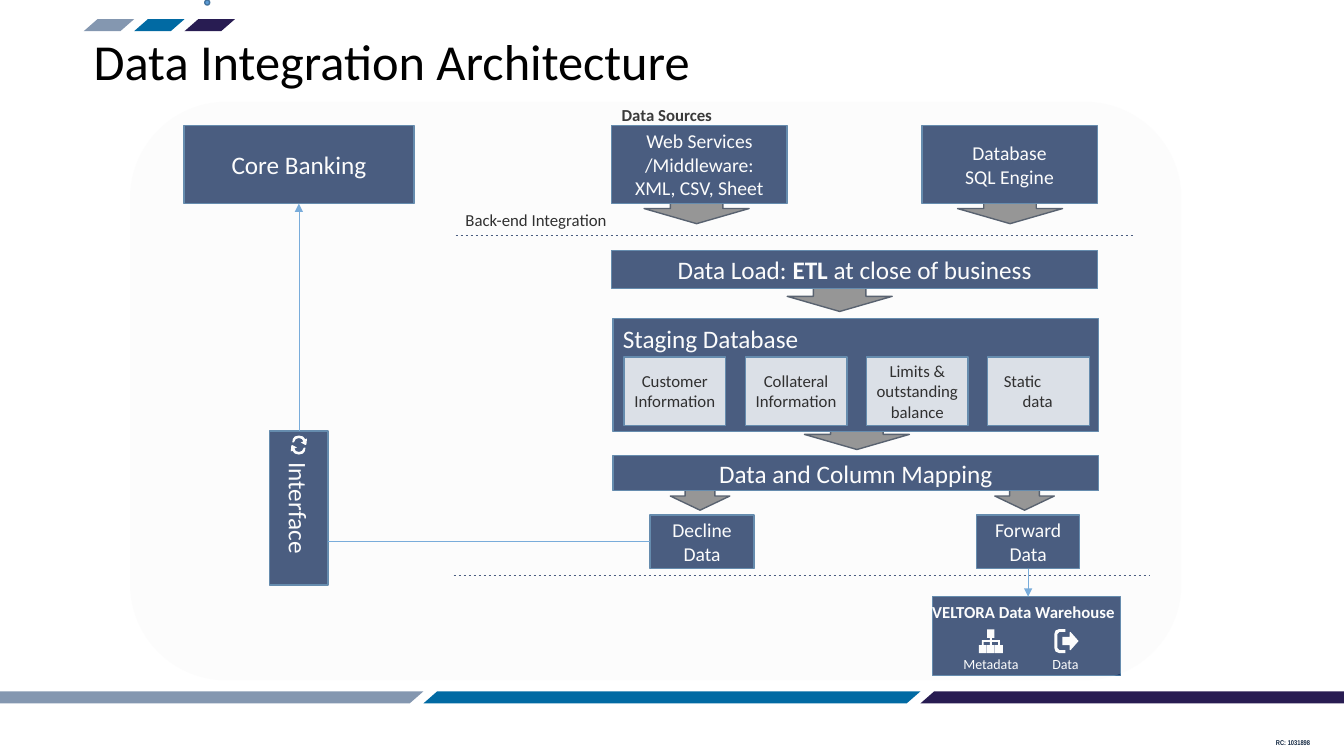
import pptx
import pptx.dml.color
import pptx.enum.dml
import pptx.enum.shapes
import pptx.enum.text
import pptx.oxml.ns
import pptx.util
from lxml import etree

Pt = pptx.util.Pt
RGBColor = pptx.dml.color.RGBColor
SHAPE = pptx.enum.shapes.MSO_SHAPE
ALIGN = pptx.enum.text.PP_ALIGN
ANCHOR = pptx.enum.text.MSO_ANCHOR
qn = pptx.oxml.ns.qn

WHITE = RGBColor(0xFF, 0xFF, 0xFF)
BLACK = RGBColor(0, 0, 0)
HEADING = RGBColor(0x0D, 0x0D, 0x0D)
FOOTER = RGBColor(0x0F, 0x24, 0x3E)
NAVY = RGBColor(0x20, 0x38, 0x64)
OUTLINE = RGBColor(0x43, 0x73, 0x9E)
SKY = RGBColor(0x5B, 0x9B, 0xD5)
PALE = RGBColor(0xD6, 0xDC, 0xE5)
GREY = RGBColor(0x80, 0x80, 0x80)
SLATE = RGBColor(0x33, 0x3F, 0x50)
PANEL = RGBColor(0xF2, 0xF2, 0xF2)
BAND_COLOURS = (RGBColor(0x84, 0x97, 0xB0), RGBColor(0x01, 0x6A, 0xA3),
                RGBColor(0x28, 0x1C, 0x52))

REFRESH_ARROW = [(58, -47), (54, -4), (47, 0), (14, -18), (32, -25), (22, -43), (0, -50),
                 (-22, -43), (-36, -18), (-47, -18), (-43, -43), (-29, -61), (0, -68),
                 (29, -61), (47, -40)]
EXIT_FRAME = [(-7, -86), (-52, -86), (-78, -75), (-86, -52), (-86, 52), (-78, 75), (-52, 86),
              (-7, 86), (-7, 65), (-50, 65), (-65, 50), (-65, -50), (-50, -65), (-7, -65)]
EXIT_ARROW = [(86, 0), (29, 65), (22, 62), (22, 29), (-29, 29), (-29, -29), (22, -29),
              (22, -62), (29, -65)]


def write_text(shape, text, size=12, colour=WHITE, bold=False, font="Calibri",
               align=ALIGN.LEFT, anchor=ANCHOR.TOP, spacing=None):
    frame = shape.text_frame
    frame.word_wrap = True
    frame.vertical_anchor = anchor
    for index, line in enumerate(text.split("\n")):
        paragraph = frame.paragraphs[0] if index == 0 else frame.add_paragraph()
        paragraph.alignment = align
        if spacing:
            paragraph.line_spacing = spacing
        for part, words in enumerate(line.split("**")):
            run = paragraph.add_run()
            run.text = words
            run.font.size = Pt(size)
            run.font.name = font
            run.font.bold = bold or part % 2 == 1
            run.font.color.rgb = colour


def add_label(slide, left, top, width, height, text, **style):
    label = slide.shapes.add_textbox(Pt(left), Pt(top), Pt(width), Pt(height))
    write_text(label, text, **style)


def paint(shape, fill, line=None):
    shape.shadow.inherit = False
    shape.fill.solid()
    shape.fill.fore_color.rgb = fill
    if line is None:
        shape.line.fill.background()
    else:
        shape.line.color.rgb = line
        shape.line.width = Pt(1)


def add_figure(slide, kind, left, top, width, height, fill, line=None):
    figure = slide.shapes.add_shape(kind, Pt(left), Pt(top), Pt(width), Pt(height))
    paint(figure, fill, line)
    return figure


def add_box(slide, left, top, width, height, text="", fill=NAVY, **style):
    box = add_figure(slide, SHAPE.RECTANGLE, left, top, width, height, fill, OUTLINE)
    if text:
        write_text(box, text, align=ALIGN.CENTER, anchor=ANCHOR.MIDDLE, **style)
    return box


def add_bands(slide, left, top, step):
    for index, colour in enumerate(BAND_COLOURS):
        band = add_figure(slide, SHAPE.PARALLELOGRAM, left + index * step, top, step, 8.6, colour)
        band.adjustments[0] = 1.144


def add_line(slide, start, end, colour, source=None, target=None, dashed=False, arrow=False):
    ends = [Pt(value) for value in start + end]
    line = slide.shapes.add_connector(pptx.enum.shapes.MSO_CONNECTOR.STRAIGHT, *ends)
    if source:
        line.begin_connect(*source)
    if target:
        line.end_connect(*target)
    line.begin_x, line.begin_y, line.end_x, line.end_y = ends
    line.line.color.rgb = colour
    line.line.width = Pt(0.5)
    if dashed:
        line.line.dash_style = pptx.enum.dml.MSO_LINE.DASH
    if arrow:
        etree.SubElement(line.line._get_or_add_ln(), qn("a:tailEnd"), type="triangle")
    etree.SubElement(line._element.spPr, qn("a:effectLst"))


def add_icon(slide, centre_x, centre_y, contours):
    builder = slide.shapes.build_freeform(*contours[0][0], scale=Pt(0.1))
    builder.add_line_segments(contours[0][1:])
    for contour in contours[1:]:
        builder.move_to(*contour[0])
        builder.add_line_segments(contour[1:])
    paint(builder.convert_to_shape(Pt(centre_x), Pt(centre_y)), WHITE)


def rectangle(left, top, right, bottom):
    return [(left, top), (right, top), (right, bottom), (left, bottom)]


def sitemap_contours():
    contours = [rectangle(-26, -83, 26, -22), rectangle(-7, -22, 7, -7),
                rectangle(-65, -7, 65, 7)]
    for x in (-58, 0, 58):
        contours += [rectangle(x - 7, 7, x + 7, 29), rectangle(x - 27, 29, x + 27, 86)]
    return contours


def add_staging_cards(slide):
    topics = ("Customer Information", "Collateral Information",
              "Limits & outstanding balance", "Static\ndata")
    for index, topic in enumerate(topics):
        card = add_box(slide, 445.7 + index * 86.6, 254.9, 72.7, 49, topic, PALE, colour=BLACK)
        card.text_frame.margin_left = card.text_frame.margin_right = Pt(6)
    for line, indent in zip(card.text_frame.paragraphs, (5.5, 19)):
        line.alignment = ALIGN.LEFT
        line._p.get_or_add_pPr().set("marL", str(Pt(indent)))


def add_panel(slide):
    panel = add_figure(slide, SHAPE.ROUNDED_RECTANGLE, 92.9, 72.7, 751, 413.3, PANEL)
    colour = panel._element.spPr.find(qn("a:solidFill")).find(qn("a:srgbClr"))
    etree.SubElement(colour, qn("a:alpha"), val="20000")


def main():
    deck = pptx.Presentation()
    deck.slide_width, deck.slide_height = Pt(960), Pt(540)
    slide = deck.slides.add_slide(deck.slide_layouts[6])

    add_bands(slide, -52.6, 493.9, 355)
    add_label(slide, 904.3, 524.2, 44.6, 14.4, "RC: 1031898", size=5, bold=True,
              font="Arial Narrow", colour=FOOTER)
    add_label(slide, 59.8, 13, 701.3, 66.2, "Data Integration Architecture", size=36,
              colour=BLACK, anchor=ANCHOR.MIDDLE, spacing=0.9)
    add_bands(slide, 59.8, 13.7, 36)
    add_figure(slide, SHAPE.OVAL, 146.2, 0, 3.6, 3.6, SKY, OUTLINE)

    for left, top, width, height in (
            (710.6, 344.2, 42.5, 20.2), (478.8, 344.2, 42.5, 20.2), (574.6, 299.5, 75, 21.6),
            (562.3, 200.9, 75, 21.6), (684, 138.2, 75, 21.6), (460.1, 138.2, 75, 21.6)):
        add_figure(slide, SHAPE.DOWN_ARROW, left, top, width, height, GREY, SLATE)

    core_banking = add_box(slide, 131.4, 89.5, 164.2, 56, "Core Banking", size=18)
    add_box(slide, 437, 89.5, 125.3, 56, "Web Services /Middleware:\nXML, CSV, Sheet", size=14)
    add_label(slide, 437, 71.3, 186.5, 21.6, "Data Sources", bold=True, colour=HEADING)
    add_box(slide, 658.5, 89.5, 125.3, 56, "Database\nSQL Engine", size=14)
    interface = add_box(slide, 158.4, 342, 110.2, 41.8, "Interface", size=18)
    interface.rotation = 90

    add_line(slide, (325.4, 167.8), (810, 167.8), NAVY, dashed=True)
    add_label(slide, 325.4, 146.2, 126, 21.6, "Back-end Integration", colour=BLACK)
    add_line(slide, (213.5, 307.8), (213.5, 145.5), SKY, (interface, 1), (core_banking, 2),
             arrow=True)
    add_box(slide, 437, 178.8, 347, 27.4, "Data Load: **ETL** at close of business", size=18)

    add_box(slide, 437.8, 227.5, 347, 80.6)
    add_label(slide, 437.8, 227.5, 210.2, 28.8, "Staging Database", size=18)
    add_staging_cards(slide)
    add_icon(slide, 213.5, 317.9, [REFRESH_ARROW, [(-x, -y) for x, y in REFRESH_ARROW]])

    decline = add_box(slide, 464.4, 367.9, 74.2, 38.2, "Decline Data", size=14)
    forward = add_box(slide, 697.7, 367.9, 73.4, 38.2, "Forward Data", size=14)
    add_box(slide, 437.8, 325.4, 347, 25.2, "Data and Column Mapping", size=18)
    add_line(slide, (324, 411.1), (821.5, 411.1), NAVY, dashed=True)
    add_line(slide, (464.4, 387), (234.4, 387), SKY, (decline, 1), (interface, 0))

    warehouse = add_box(slide, 666, 426.2, 134.6, 56.2)
    add_label(slide, 658.8, 426.2, 152, 21.6, "VELTORA Data Warehouse", bold=True)
    add_icon(slide, 761.8, 457.9, [EXIT_FRAME, EXIT_ARROW])
    add_icon(slide, 707.8, 457.9, sitemap_contours())
    add_label(slide, 681.1, 464.4, 62, 19.4, "Metadata", size=10)
    add_label(slide, 744.6, 464.4, 54, 19.4, "Data", size=10)
    add_line(slide, (734.4, 406.1), (734.4, 426.2), SKY, (forward, 2), (warehouse, 0), arrow=True)
    add_panel(slide)

    deck.save("out.pptx")


if __name__ == "__main__":
    main()
